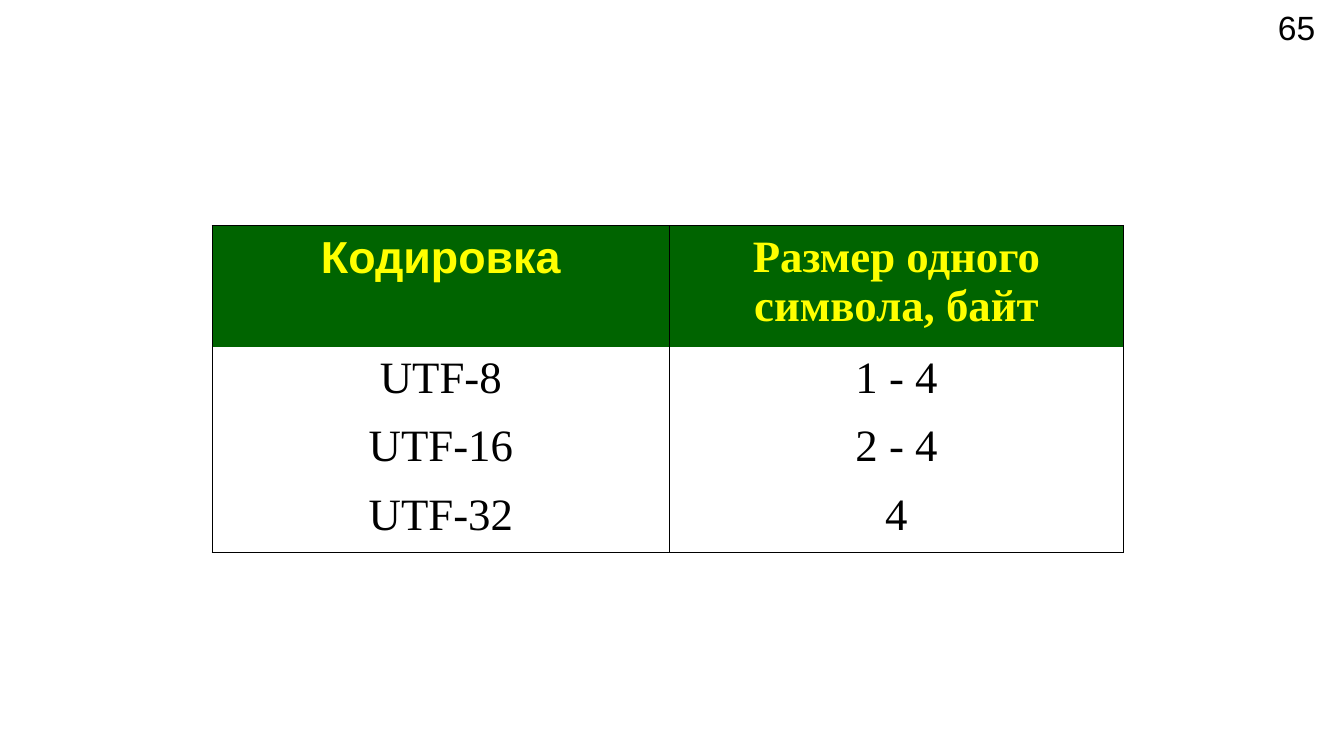
from dataclasses import dataclass

from lxml import etree
from pptx import Presentation
from pptx.dml.color import RGBColor
from pptx.enum.text import PP_ALIGN
from pptx.oxml.ns import qn
from pptx.util import Inches, Pt

CENTER = PP_ALIGN.CENTER


@dataclass(frozen=True)
class Theme:
    ink: str = "000000"
    header_fill: str = "006400"
    header_text: str = "FFFF00"
    sans: str = "Arial"
    serif: str = "Times New Roman"
    number_size: int = 18
    table_size: int = 24
    rule: float = 0.85
    hairline: float = 0.06


class SlideBuilder:
    def __init__(self, slide, theme):
        self.slide = slide
        self.theme = theme

    def add_run(self, para, text, size, font, color, bold=False):
        span = para.add_run()
        span.text = text
        span.font.size = Pt(size)
        span.font.name = font
        span.font.bold = bold
        span.font.color.rgb = RGBColor.from_string(color)

    def page_number(self, text, left, top, width, height):
        box = self.slide.shapes.add_textbox(
            Inches(left), Inches(top), Inches(width), Inches(height))
        box.text_frame.word_wrap = True
        self.add_run(box.text_frame.paragraphs[0], text,
                     self.theme.number_size, self.theme.sans, self.theme.ink)

    def border(self, cell, side, width):
        """Draw one side of a cell; a width of zero hides it."""
        line = etree.SubElement(cell._tc.get_or_add_tcPr(), qn(f"a:ln{side}"))
        line.set("w", str(int(Pt(width))))
        if width:
            fill = etree.SubElement(line, qn("a:solidFill"))
            etree.SubElement(fill, qn("a:srgbClr")).set("val", self.theme.ink)
        else:
            etree.SubElement(line, qn("a:noFill"))

    def table(self, rows, left, top, widths, heights, header_fonts):
        theme = self.theme
        frame = self.slide.shapes.add_table(
            len(rows), len(widths), Inches(left), Inches(top),
            Inches(sum(widths)), Inches(sum(heights)))
        table = frame.table
        table.first_row = table.horz_banding = False
        for column, width in zip(table.columns, widths):
            column.width = Inches(width)
        for row, height in zip(table.rows, heights):
            row.height = Inches(height)

        for r, values in enumerate(rows):
            header = r == 0
            last = r == len(rows) - 1
            for c, value in enumerate(values):
                cell = table.cell(r, c)
                # Borders come before the fill in the cell properties
                self.border(cell, "L", theme.rule)
                self.border(cell, "R", theme.rule)
                self.border(cell, "T", theme.rule if header else 0)
                self.border(cell, "B", theme.hairline if last else 0)
                if header:
                    cell.fill.solid()
                    cell.fill.fore_color.rgb = RGBColor.from_string(theme.header_fill)
                else:
                    cell.fill.background()
                para = cell.text_frame.paragraphs[0]
                para.alignment = CENTER
                self.add_run(para, value, theme.table_size,
                             header_fonts[c] if header else theme.serif,
                             theme.header_text if header else theme.ink,
                             bold=header)


def main():
    deck = Presentation()
    # Widescreen, 16 to 9
    deck.slide_width = Inches(10)
    deck.slide_height = Inches(10) * 9 // 16
    theme = Theme()
    page = SlideBuilder(deck.slides.add_slide(deck.slide_layouts[6]), theme)

    # Page number in the top right corner
    page.page_number("65", 9.41, 0, 0.59, 0.4)

    # Encodings and their character sizes
    page.table(
        [("Кодировка", "Размер одного символа, байт"),
         ("UTF-8", "1 - 4"),
         ("UTF-16", "2 - 4"),
         ("UTF-32", "4")],
        left=1.58, top=1.68, widths=(3.4, 3.38),
        heights=(0.9, 0.51, 0.51, 0.51),
        header_fonts=(theme.sans, theme.serif))

    deck.save("out.pptx")


if __name__ == "__main__":
    main()
